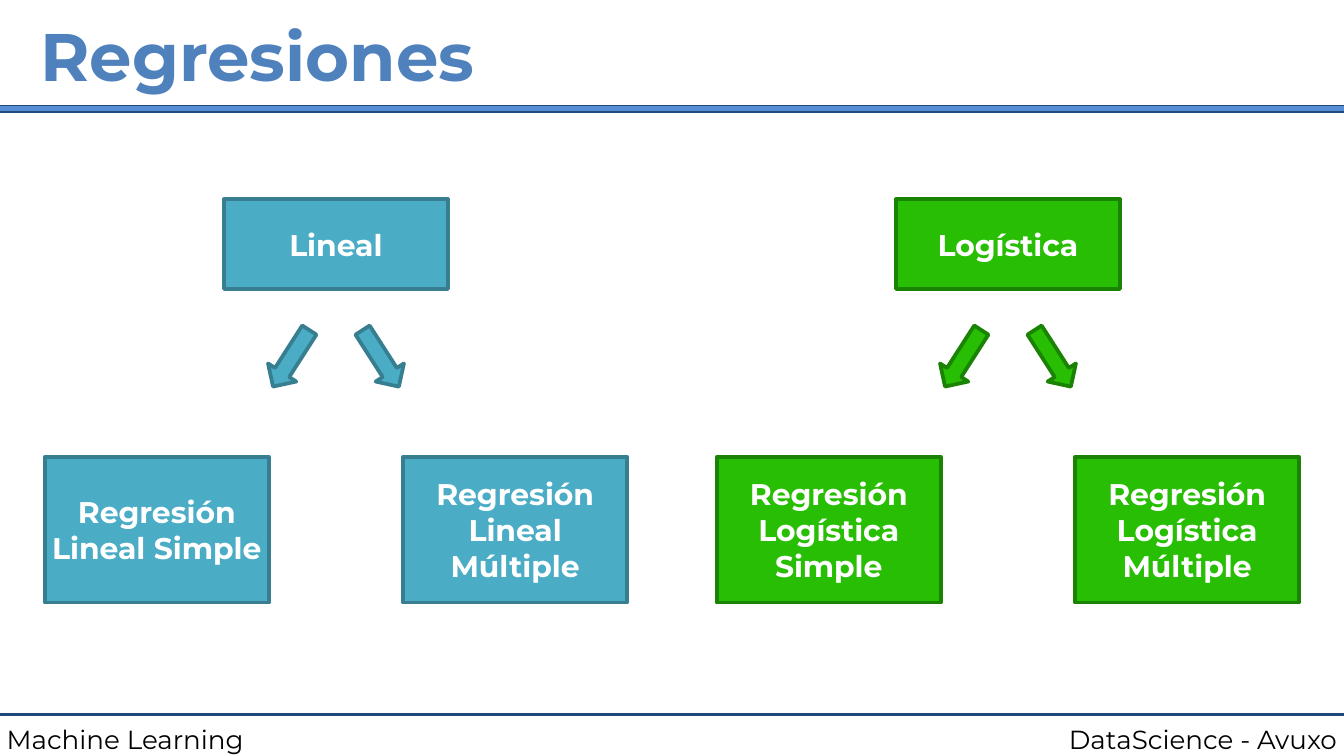
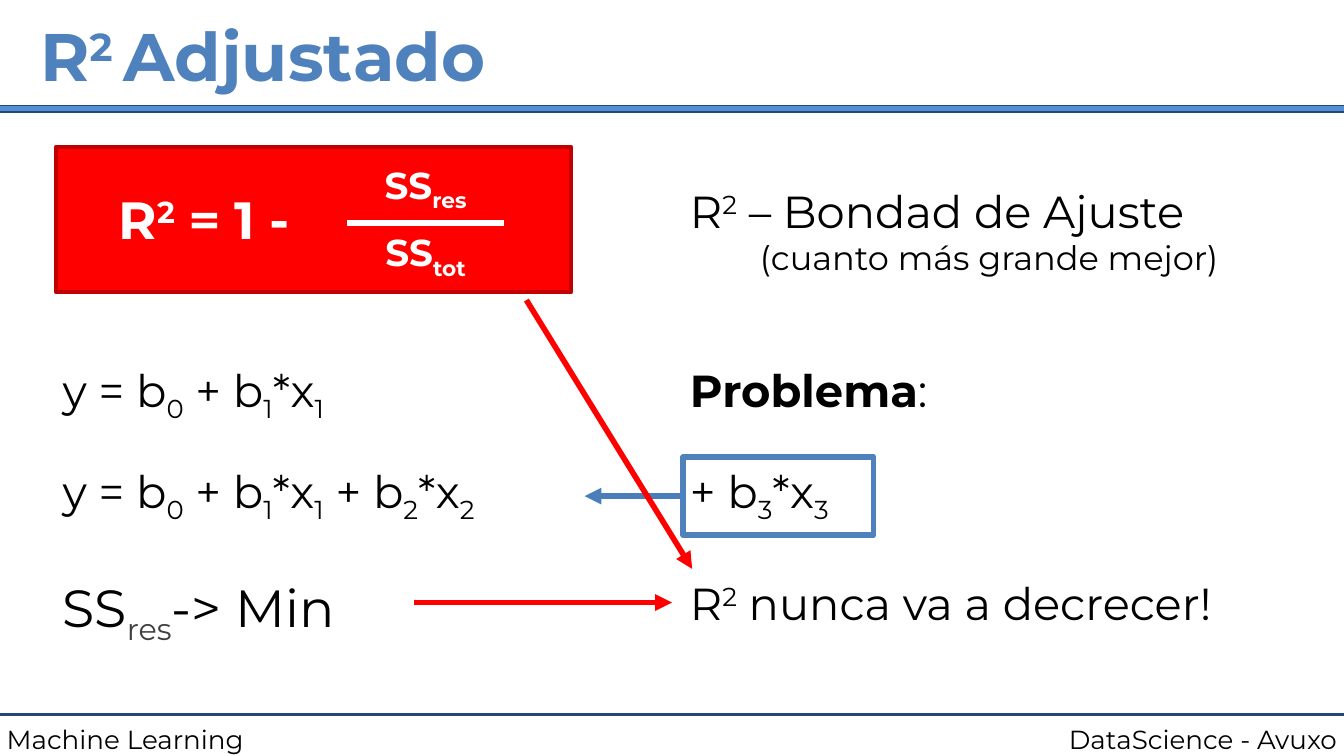
from dataclasses import dataclass

from lxml import etree
from pptx import Presentation
from pptx import util as u
from pptx.dml.color import RGBColor
from pptx.enum import shapes, text
from pptx.oxml.ns import qn


@dataclass(frozen=True)
class Theme:
    font: str = "Montserrat"
    symbol_font: str = "Open Sans"
    # colours
    ink: str = "000000"
    grey: str = "404040"
    white: str = "FFFFFF"
    title: str = "4F81BD"
    band: str = "558ED5"
    navy: str = "1F497D"
    arrow: str = "4A7EBB"
    red: str = "FF0000"
    dark_red: str = "C00000"
    teal: tuple = ("4BACC6", "377E90")
    green: tuple = ("27BE04", "1B8303")
    # type sizes
    title_size: int = 36
    formula: int = 28
    body: int = 24
    fraction: int = 20
    note: int = 18
    label: int = 16
    footer: int = 14


T = Theme()
WIDTH, HEIGHT = u.Inches(10), u.Inches(5.625)
CELL = WIDTH / 120      # square grid, 120 columns across the slide
TOP = -0.2              # the rows start a little above the slide
LEFT, CENTER, RIGHT = text.PP_ALIGN.LEFT, text.PP_ALIGN.CENTER, text.PP_ALIGN.RIGHT
BASELINES = {"^": "30000", "_": "-25000"}


def size(cells):
    return u.Emu(round(cells * CELL))


def row(y):
    return size(y + TOP)


def rgb(value):
    return RGBColor.from_string(value)


# Text: runs are split by "|"; a first ^ raises, _ lowers, ! sets bold,
# ~ takes the symbol font
def write(p, markup, pt, color, bold=False, align=LEFT):
    p.alignment = align
    for part in markup.split("|"):
        mark = part[0] if part[0] in "^_!~" else ""
        r = p.add_run()
        r.text = part[len(mark):]
        r.font.name = T.symbol_font if mark == "~" else T.font
        r.font.size = u.Pt(pt)
        r.font.bold = bold or mark == "!"
        r.font.color.rgb = rgb(color)
        if mark in BASELINES:
            r._r.get_or_add_rPr().set("baseline", BASELINES[mark])


def frame(sp, anchor):
    tf = sp.text_frame
    tf.word_wrap = True
    tf.vertical_anchor = anchor
    tf.margin_left = tf.margin_right = u.Inches(0.05)
    tf.margin_top = tf.margin_bottom = u.Inches(0.05)
    return tf


def add_text(s, x, y, w, h, markup, pt=T.body, color=T.ink, bold=False,
             align=LEFT, anchor=text.MSO_ANCHOR.TOP):
    sp = s.shapes.add_textbox(size(x), row(y), size(w), size(h))
    tf = frame(sp, anchor)
    write(tf.paragraphs[0], markup, pt, color, bold, align)
    return tf


# Shapes and lines
def add_shape(s, x, y, w, h, fill, line, weight=2,
              kind=shapes.MSO_SHAPE.RECTANGLE):
    sp = s.shapes.add_shape(kind, size(x), row(y), size(w), size(h))
    sp.shadow.inherit = False
    if fill:
        sp.fill.solid()
        sp.fill.fore_color.rgb = rgb(fill)
    else:
        sp.fill.background()
    sp.line.color.rgb = rgb(line)
    sp.line.width = u.Pt(weight)
    return sp


def add_line(s, x1, y1, x2, y2, color, weight=3, arrow=False):
    c = s.shapes.add_connector(shapes.MSO_CONNECTOR.STRAIGHT,
                               size(x1), row(y1), size(x2), row(y2))
    c.line.color.rgb = rgb(color)
    c.line.width = u.Pt(weight)
    if arrow:
        etree.SubElement(c.line._get_or_add_ln(), qn("a:tailEnd"), type="triangle")
    etree.SubElement(c._element.spPr, qn("a:effectLst"))


# Slide with title, band and footer
def add_slide(prs, title):
    s = prs.slides.add_slide(prs.slide_layouts[6])
    add_line(s, 0, 64, 120, 64, T.navy, 1.5)
    add_text(s, 85, 64.2, 35, 4, "DataScience - Avuxo", T.footer, align=RIGHT)
    add_text(s, 0, 64.2, 39, 4, "Machine Learning", T.footer)
    add_shape(s, -0.5, 9.6, 121, 0.6, T.band, T.navy, 0.75)
    add_text(s, 3, 0.2, 114, 9.7, title, T.title_size, T.title, True,
             anchor=text.MSO_ANCHOR.MIDDLE)
    return s


# Family of regressions: a parent, two arrows and two children
def add_box(s, center, y, h, label, colors):
    width = 20
    sp = add_shape(s, center - width / 2, y, width, h, *colors)
    tf = frame(sp, text.MSO_ANCHOR.MIDDLE)
    write(tf.paragraphs[0], label, T.label, T.white, True, CENTER)


def add_family(s, center, name, colors):
    add_box(s, center, 18, 8, name, colors)
    for side, variant in ((-1, "Simple"), (1, "Múltiple")):
        add_box(s, center + side * 16, 41, 13, f"Regresión {name} {variant}", colors)
        arrow = add_shape(s, center + side * 4 - 1.5, 29.2, 3, 6, *colors,
                          kind=shapes.MSO_SHAPE.DOWN_ARROW)
        arrow.rotation = -side * 32.7


def regressions_slide(prs):
    s = add_slide(prs, "Regresiones")
    add_family(s, 30, "Lineal", T.teal)
    add_family(s, 90, "Logística", T.green)


def adjusted_slide(prs):
    s = add_slide(prs, "R|^2 |Adjustado")
    left, right = 5, 61
    first, second, third = 32, 41, 51

    # Formula with its fraction
    add_shape(s, left, 13.3, 46, 13, T.red, T.dark_red)
    add_text(s, 10, 16.3, 34, 7, "R|^2| |~=| 1 - ", T.formula, T.white, True)
    add_line(s, 31, 20.1, 45, 20.1, T.white)
    for y, sub in ((14.1, "res"), (20.1, "tot")):
        add_text(s, 31, y, 14, 6, f"SS|_{sub}", T.fraction, T.white, True, CENTER)

    # Models on the left
    add_text(s, left, first, 46, 7, "y = b|_0| + b|_1|*x|_1")
    add_text(s, left, second, 48, 7, "y = b|_0| + b|_1|*x|_1| + b|_2|*x|_2")
    tf = add_text(s, left, third, 39, 8, "SS|_res|-> Min", T.formula)
    tf.paragraphs[0].runs[1].font.color.rgb = rgb(T.grey)

    # Meaning and problem on the right
    tf = add_text(s, right, 16, 52, 10, "R|^2| – Bondad de Ajuste")
    p = tf.add_paragraph()
    write(p, "(cuanto más grande mejor)", T.note, T.ink)
    p._p.get_or_add_pPr().set("marL", str(u.Inches(0.52)))
    add_text(s, right, first, 46, 6, "!Problema|:")
    add_text(s, right, second, 17, 7, "+ b|_3|*x|_3")
    add_line(s, right, 44.5, 52.2, 44.5, T.arrow, arrow=True)
    add_shape(s, right, second, 17, 7, None, T.title, 3)
    add_text(s, right, third, 54, 6, "R|^2| nunca va a decrecer!")

    # Arrows to the conclusion
    add_line(s, 47, 27, 61.8, third, T.red, arrow=True)
    add_line(s, 37, 54, 60, 54, T.red, arrow=True)


def main():
    prs = Presentation()
    prs.slide_width, prs.slide_height = WIDTH, HEIGHT
    regressions_slide(prs)
    adjusted_slide(prs)
    prs.save("out.pptx")


main()
